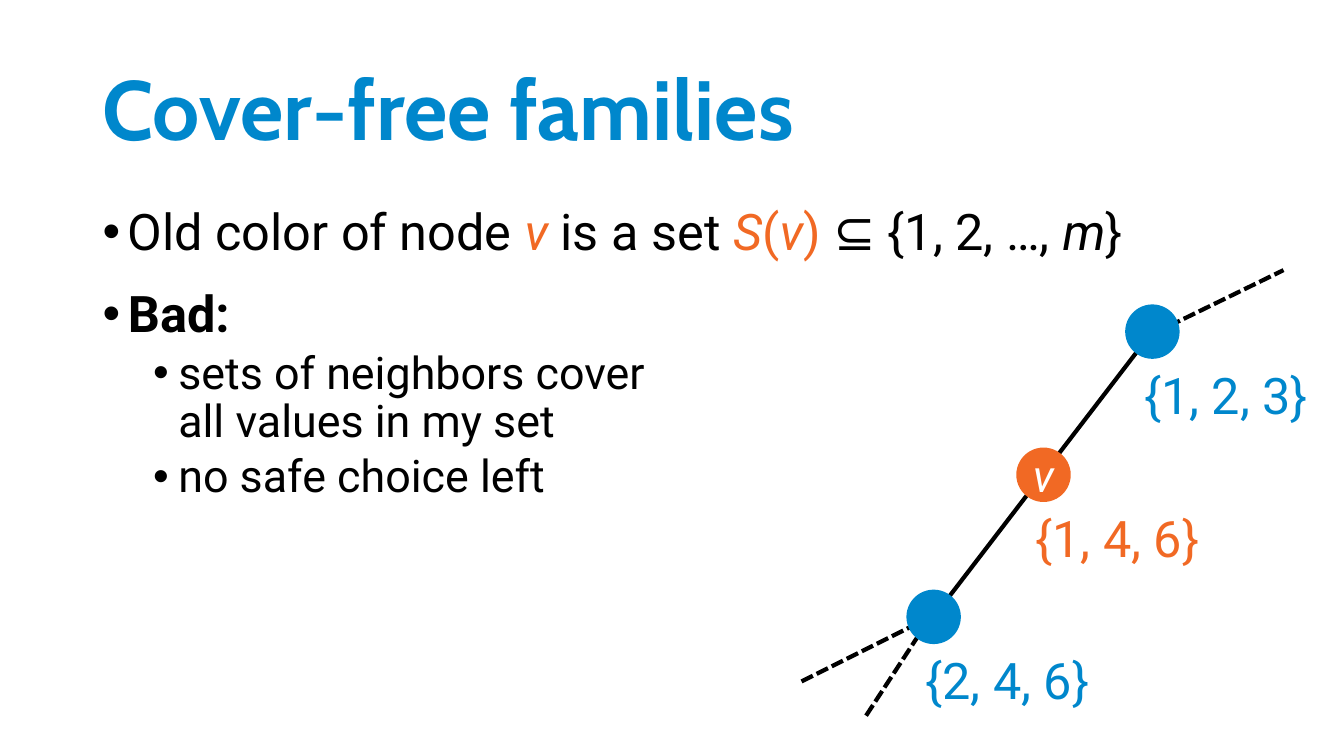
from dataclasses import dataclass

from lxml.etree import SubElement
from pptx import Presentation
from pptx.dml.color import RGBColor
from pptx.enum.dml import MSO_LINE
from pptx.enum.shapes import MSO_CONNECTOR, MSO_SHAPE
from pptx.enum.text import MSO_ANCHOR, MSO_AUTO_SIZE, PP_ALIGN
from pptx.oxml.ns import qn
from pptx.util import Inches, Pt


@dataclass(frozen=True)
class Theme:
    blue: str = "0087CC"
    orange: str = "F16924"
    black: str = "000000"
    white: str = "FFFFFF"
    heading_font: str = "Cabin"
    body_font: str = "Roboto"
    title: int = 60
    body: int = 36
    sub: int = 32
    line: int = 3


T = Theme()
NODE_SIZE = 0.54
LABEL_SHIFT = (-0.18, 0.27)

# Path nodes: centre x, centre y, colour, name, set
NODES = [
    (11.43, 3.29, T.blue, "", "{1, 2, 3}"),
    (10.35, 4.71, T.orange, "v", "{1, 4, 6}"),
    (9.26, 6.12, T.blue, "", "{2, 4, 6}"),
]
# Edges: start, end, dashed
EDGES = [
    ((9.26, 6.12), (11.43, 3.29), False),
    ((7.95, 6.76), (9.23, 6.12), True),
    ((8.59, 7.1), (9.23, 6.12), True),
    ((11.44, 3.31), (12.73, 2.68), True),
]


def add_run(p, text, size, color=T.black, font=T.body_font, bold=False, italic=False):
    r = p.add_run()
    r.text = text
    r.font.name = font
    r.font.size = Pt(size)
    r.font.bold = bold
    r.font.italic = italic
    r.font.color.rgb = RGBColor.from_string(color)


def add_box(s, x, y, w, h, wrap=True, anchor=MSO_ANCHOR.TOP):
    tf = s.shapes.add_textbox(Inches(x), Inches(y), Inches(w), Inches(h)).text_frame
    tf.word_wrap = wrap
    tf.vertical_anchor = anchor
    return tf


def format_bullet(p, level, space_before):
    p.level = level
    p.line_spacing = 0.9
    p.space_before = Pt(space_before)
    pPr = p._p.get_or_add_pPr()
    pPr.set("marL", str(Inches(0.25 + 0.5 * level)))
    pPr.set("indent", str(Inches(-0.25)))
    SubElement(pPr, qn("a:buFont")).set("typeface", "Arial")
    SubElement(pPr, qn("a:buChar")).set("char", "•")


def add_title(s, text):
    p = add_box(s, 0.92, 0.4, 11.5, 1.45, anchor=MSO_ANCHOR.MIDDLE).paragraphs[0]
    p.line_spacing = 0.9
    add_run(p, text, T.title, T.blue, T.heading_font, bold=True)


def add_body(s):
    tf = add_box(s, 0.92, 2, 11.5, 4.76)

    # Definition of the old color
    p = tf.paragraphs[0]
    format_bullet(p, 0, 0)
    for text, color, italic in [
        ("Old color of node ", T.black, False),
        ("v", T.orange, True),
        (" is a set ", T.black, False),
        ("S", T.orange, True),
        ("(", T.orange, False),
        ("v", T.orange, True),
        (")", T.orange, False),
        (" ⊆ {1, 2, …, ", T.black, False),
        ("m", T.black, True),
        ("}", T.black, False),
    ]:
        add_run(p, text, T.body, color, italic=italic)

    # Bad case
    p = tf.add_paragraph()
    format_bullet(p, 0, 20)
    add_run(p, "Bad:", T.body, bold=True)
    for lines in [("sets of neighbors cover", "all values in my set"),
                  ("no safe choice left",)]:
        p = tf.add_paragraph()
        format_bullet(p, 1, 5)
        for i, line in enumerate(lines):
            if i:
                p.add_line_break()
            add_run(p, line, T.sub)


def add_edge(s, start, end, dashed):
    cx = s.shapes.add_connector(MSO_CONNECTOR.STRAIGHT,
                                *(Inches(v) for v in (*start, *end)))
    cx.line.color.rgb = RGBColor.from_string(T.black)
    cx.line.width = Pt(T.line)
    if dashed:
        cx.line.dash_style = MSO_LINE.SQUARE_DOT
    SubElement(cx._element.spPr, qn("a:effectLst"))


def add_node(s, x, y, color, name):
    size = Inches(NODE_SIZE)
    sp = s.shapes.add_shape(MSO_SHAPE.OVAL, Inches(x - NODE_SIZE / 2),
                            Inches(y - NODE_SIZE / 2), size, size)
    sp.shadow.inherit = False
    sp.fill.solid()
    sp.fill.fore_color.rgb = RGBColor.from_string(color)
    sp.line.fill.background()
    if name:
        tf = sp.text_frame
        tf.margin_left = tf.margin_right = tf.margin_top = tf.margin_bottom = 0
        tf.word_wrap = False
        tf.vertical_anchor = MSO_ANCHOR.MIDDLE
        p = tf.paragraphs[0]
        p.alignment = PP_ALIGN.CENTER
        add_run(p, name, T.sub, T.white, italic=True)


def add_label(s, x, y, color, text):
    dx, dy = LABEL_SHIFT
    tf = add_box(s, x + dx, y + dy, 1.88, 0.71, wrap=False)
    tf.auto_size = MSO_AUTO_SIZE.SHAPE_TO_FIT_TEXT
    add_run(tf.paragraphs[0], text, T.body, color)


def main():
    prs = Presentation()
    prs.slide_width, prs.slide_height = Inches(13.33), Inches(7.5)
    s = prs.slides.add_slide(prs.slide_layouts[6])

    # Text
    add_title(s, "Cover-free families")
    add_body(s)

    # Graph, edges behind nodes
    for edge in EDGES:
        add_edge(s, *edge)
    for x, y, color, name, colors in NODES:
        add_node(s, x, y, color, name)
        add_label(s, x, y, color, colors)

    prs.save("out.pptx")


if __name__ == "__main__":
    main()
